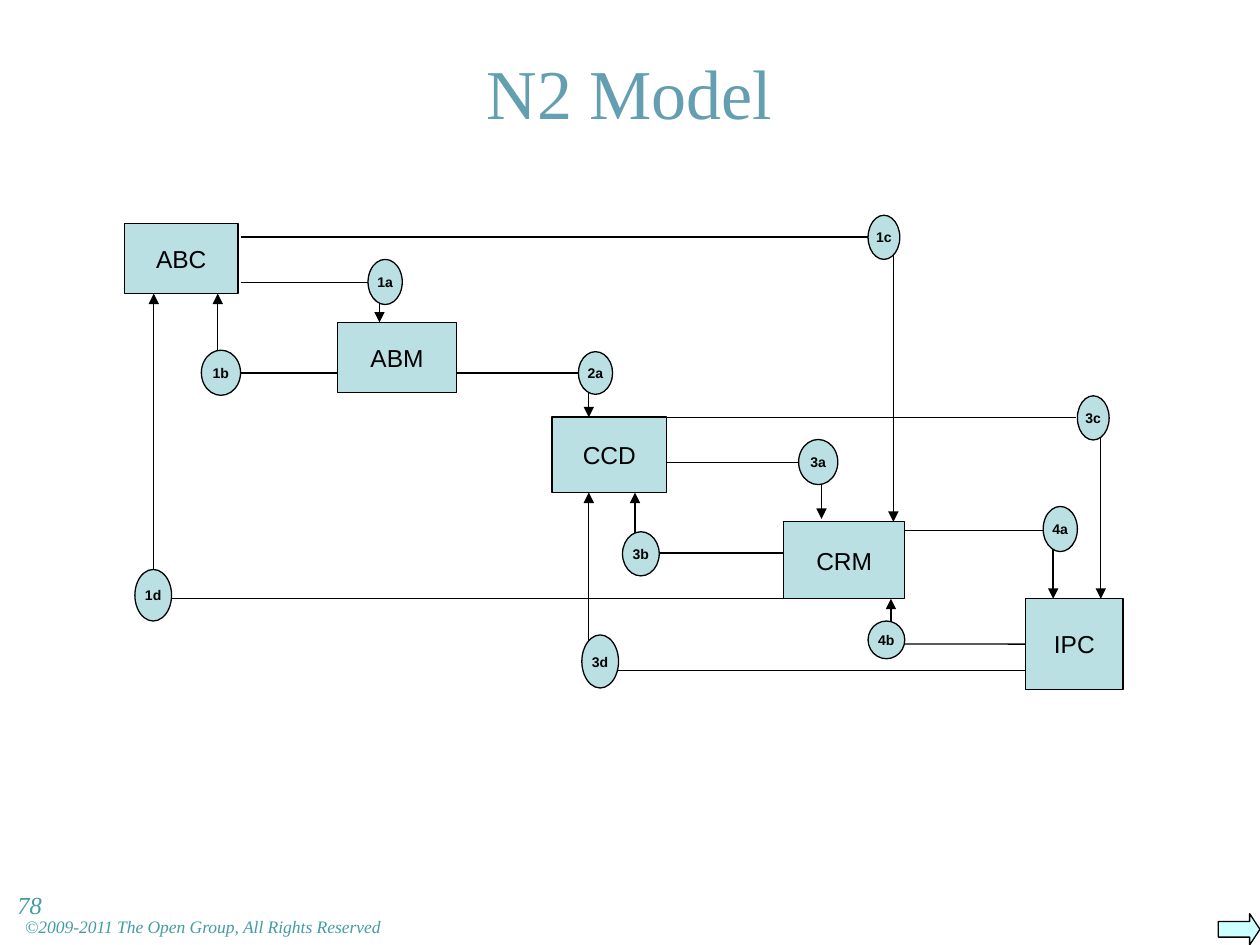
from lxml import etree
from pptx import Presentation
from pptx import util as u
from pptx.dml.color import RGBColor
from pptx.enum import shapes, text
from pptx.oxml import ns

BOXES = {
    "ABC": (2.51, 4.5, 2.29, 1.42),
    "ABM": (6.81, 6.5, 2.39, 1.42),
    "CCD": (11.13, 8.41, 2.31, 1.52),
    "CRM": (15.8, 10.52, 2.44, 1.55),
    "IPC": (20.68, 12.07, 1.96, 1.83),
}
NODES = {
    "1a": (7.42, 5.23, 0.69, 0.91),
    "1b": (4.06, 7.06, 0.79, 0.91),
    "1c": (17.5, 4.34, 0.64, 0.89),
    "1d": (2.72, 11.48, 0.74, 1.04),
    "2a": (11.66, 7.09, 0.69, 0.86),
    "3a": (16.1, 8.86, 0.79, 0.91),
    "3b": (12.55, 10.72, 0.74, 0.89),
    "3c": (21.72, 7.98, 0.64, 0.89),
    "3d": (11.73, 12.8, 0.74, 1.07),
    "4b": (17.5, 12.52, 0.74, 0.76),
    "4a": (21.03, 10.21, 0.69, 0.91),
}
WIRES = [
    (4.85, 5.69, 8.13), (4.85, 4.78, 17.53), (9.07, 7.52, 11.86),
    (4.85, 7.52, 6.81), (13.28, 9.32, 16.1), (13.28, 8.41, 21.69),
    (17.96, 10.69, 21.23), (20.68, 13.51, 12.27), (16.1, 11.15, 12.8),
    (15.8, 12.07, 3.1),
]
ARROWS = [
    (7.65, 5.69, 6.5), (18.01, 4.78, 10.52), (11.87, 7.26, 8.41),
    (4.39, 7.06, 5.92), (16.56, 9.32, 10.46), (22.19, 8.61, 12.07),
    (21.23, 10.9, 12.07), (12.8, 10.95, 9.93), (3.1, 11.51, 5.92),
    (11.87, 13.23, 9.93), (17.96, 13.21, 12.07),
]


def color(value):
    return RGBColor.from_string(value)


class Diagram:
    fill, ink, teal = "BBE0E3", "000000", "439CA3"
    sans, serif = "Arial", "Times New Roman"
    weight = u.Pt(0.75)

    def __init__(self, s):
        self.s = s

    def label(self, sp, words, size, font, ink, align=None, anchor=None,
              bold=False, italic=False):
        tf = sp.text_frame
        tf.text = words
        tf.vertical_anchor = anchor
        p = tf.paragraphs[0]
        p.alignment = align
        r = p.runs[0]
        r.font.size, r.font.name = u.Pt(size), font
        r.font.bold, r.font.italic = bold, italic
        r.font.color.rgb = color(ink)

    def title(self, words, at):
        sp = self.s.shapes.title
        sp.left, sp.top, sp.width, sp.height = map(u.Cm, at)
        self.label(sp, words, 40, self.serif, "639EB1",
                   text.PP_ALIGN.CENTER, text.MSO_ANCHOR.MIDDLE)

    def shape(self, kind, at, fill):
        sp = self.s.shapes.add_shape(kind, *map(u.Cm, at))
        sp.shadow.inherit = False
        sp.fill.solid()
        sp.fill.fore_color.rgb = color(fill)
        sp.line.color.rgb = color(self.ink)
        sp.line.width = self.weight
        return sp

    def box(self, words, at):
        sp = self.shape(shapes.MSO_SHAPE.RECTANGLE, at, self.fill)
        self.label(sp, words, 14, self.sans, self.ink,
                   text.PP_ALIGN.CENTER, text.MSO_ANCHOR.MIDDLE)
        sp.text_frame.word_wrap = False
        return sp

    def node(self, words, at):
        sp = self.shape(shapes.MSO_SHAPE.OVAL, at, self.fill)
        self.label(sp, words, 8, self.sans, self.ink,
                   text.PP_ALIGN.CENTER, text.MSO_ANCHOR.MIDDLE, bold=True)
        tf = sp.text_frame
        tf.word_wrap = False
        tf.margin_left = tf.margin_top = tf.margin_right = tf.margin_bottom = 0

    def line(self, x1, y1, x2, y2, arrow=False):
        c = self.s.shapes.add_connector(
            shapes.MSO_CONNECTOR.STRAIGHT, *map(u.Cm, (x1, y1, x2, y2)))
        c.line.color.rgb = color(self.ink)
        c.line.width = self.weight
        spPr = c._element.spPr
        if arrow:
            etree.SubElement(spPr.find(ns.qn("a:ln")), ns.qn("a:tailEnd"),
                             type="triangle")
        etree.SubElement(spPr, ns.qn("a:effectLst"))
        return c

    def note(self, words, at, size, inset):
        sp = self.s.shapes.add_textbox(*map(u.Cm, at))
        sp.text_frame.word_wrap = True
        sp.text_frame.margin_left = u.Cm(inset)
        self.label(sp, words, size, self.serif, self.teal, italic=True)


def main():
    prs = Presentation()
    prs.slide_width, prs.slide_height = u.Cm(25.4), u.Cm(19.05)
    d = Diagram(prs.slides.add_slide(prs.slide_layouts[5]))
    d.title("N2 Model", (0.69, -0.03, 24, 3.76))
    for x1, y, x2 in WIRES:
        d.line(x1, y, x2, y)
    for x, y1, y2 in ARROWS:
        d.line(x, y1, x, y2, arrow=True)
    feedback = d.line(17.96, 12.98, 20.68, 12.98)
    for words, at in NODES.items():
        d.node(words, at)
    boxes = {words: d.box(words, at) for words, at in BOXES.items()}
    feedback.end_connect(boxes["IPC"], 1)
    arrow = d.shape(shapes.MSO_SHAPE.RIGHT_ARROW,
                    (24.56, 18.42, 0.84, 0.63), "CCFFFF")
    arrow.adjustments[1] = 0.33
    d.note("©2009-2011 The Open Group, All Rights Reserved",
           (0.51, 18.34, 18.59, 0.61), 10, 0)
    d.note("78", (0.1, 17.81, 3, 1.32), 14, 0.25)
    prs.save("out.pptx")


if __name__ == "__main__":
    main()
